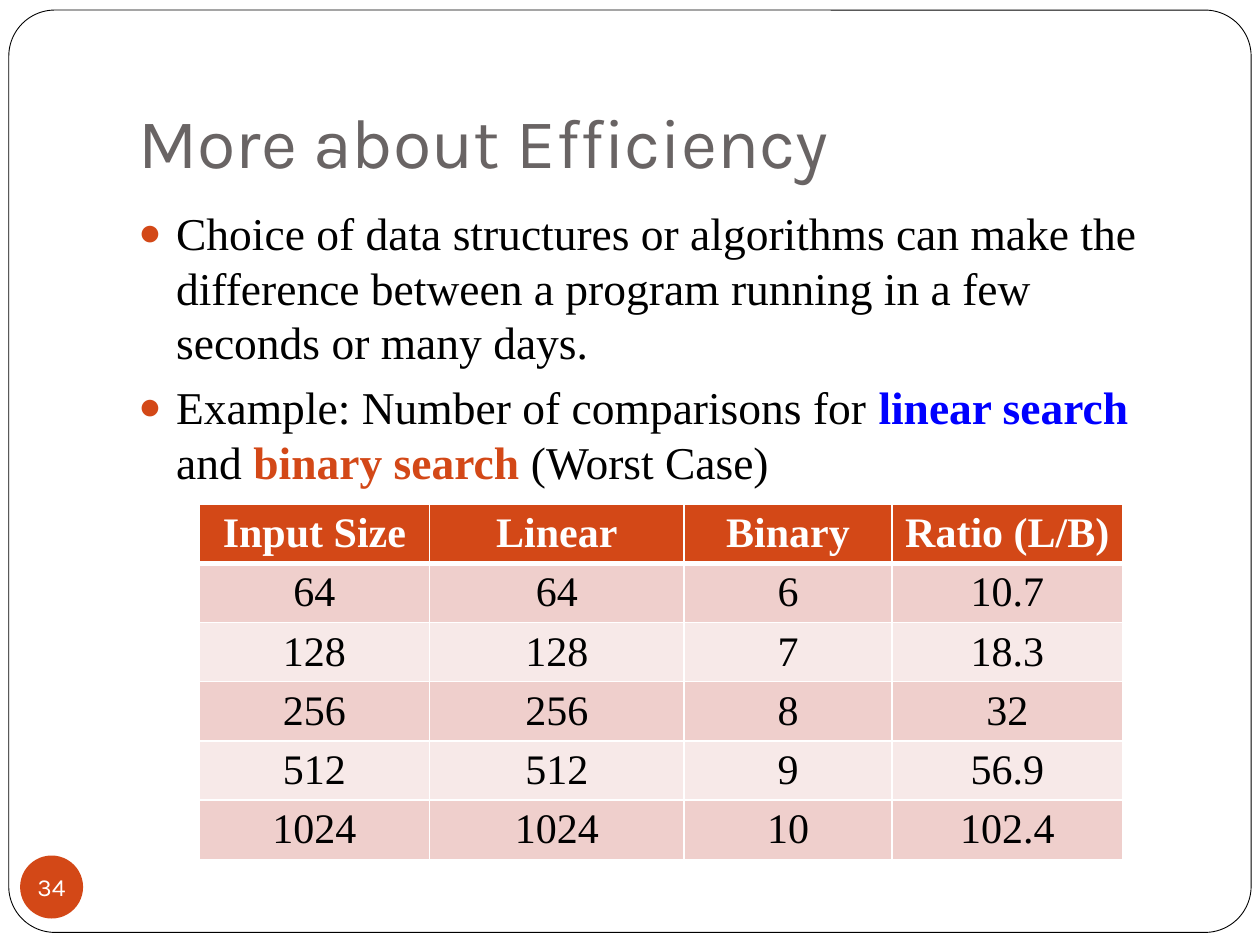
import pptx
import pptx.util
import pptx.dml.color
import pptx.enum.shapes
import pptx.enum.text
import pptx.oxml
import pptx.oxml.ns

Inches, Pt = pptx.util.Inches, pptx.util.Pt
RGBColor = pptx.dml.color.RGBColor
MSO_SHAPE = pptx.enum.shapes.MSO_SHAPE
PP_ALIGN = pptx.enum.text.PP_ALIGN
MSO_ANCHOR = pptx.enum.text.MSO_ANCHOR

WHITE = RGBColor(0xFF, 0xFF, 0xFF)
BLACK = RGBColor(0, 0, 0)
GRAY = RGBColor(0x69, 0x64, 0x64)
ORANGE = RGBColor(0xD3, 0x48, 0x17)
BLUE = RGBColor(0, 0, 0xFF)
BANDS = (RGBColor(0xF7, 0xE9, 0xE8), RGBColor(0xEF, 0xCF, 0xCC))

SERIF, SANS = "Times New Roman", "Karla"
PLAIN = {"name": SERIF, "size": Pt(26), "bold": False, "color": BLACK}
TITLE = {"name": SANS, "size": Pt(40), "color": GRAY}
NUMBER = {"name": SANS, "size": Pt(14), "color": WHITE}
CELL = {**PLAIN, "size": Pt(24)}
HEADER = {**CELL, "bold": True, "color": WHITE}

BULLETS = [
    [("Choice of data structures or algorithms can make the difference between "
      "a program running in a few seconds or many days.", PLAIN)],
    [("Example: Number of comparisons for ", PLAIN),
     ("linear search", {**PLAIN, "bold": True, "color": BLUE}),
     (" and ", PLAIN),
     ("binary search ", {**PLAIN, "bold": True, "color": ORANGE}),
     ("(Worst Case)", PLAIN)],
]
ROWS = [
    ("Input Size", "Linear", "Binary", "Ratio (L/B)"),
    ("64", "64", "6", "10.7"),
    ("128", "128", "7", "18.3"),
    ("256", "256", "8", "32"),
    ("512", "512", "9", "56.9"),
    ("1024", "1024", "10", "102.4"),
]
COL_WIDTHS = (1.83, 2.02, 1.65, 1.83)
ROW_HEIGHT = 0.41


def add_run(p, text, style):
    """Add a run whose font takes the given values."""
    r = p.add_run()
    r.text = text
    for key, value in style.items():
        if key == "color":
            r.font.color.rgb = value
        else:
            setattr(r.font, key, value)


def add_shape(s, kind, box, fill):
    """Add a filled preset shape without line or shadow."""
    sp = s.shapes.add_shape(kind, *map(Inches, box))
    sp.shadow.inherit = False
    sp.fill.solid()
    sp.fill.fore_color.rgb = fill
    sp.line.fill.background()
    return sp


def add_text_box(s, box):
    """Add a wrapping text box and return its text frame."""
    tf = s.shapes.add_textbox(*map(Inches, box)).text_frame
    tf.word_wrap = True
    return tf


def set_bullet(p):
    """Give a paragraph a hanging orange bullet."""
    ppr = p._p.get_or_add_pPr()
    ppr.set("marL", str(Inches(0.3)))
    ppr.set("indent", str(-Inches(0.3)))
    ns = pptx.oxml.ns.nsdecls("a")
    for xml in (f'<a:buClr {ns}><a:srgbClr val="{ORANGE}"/></a:buClr>',
                f'<a:buSzPct {ns} val="85000"/>',
                f'<a:buFont {ns} typeface="{SERIF}"/>',
                f'<a:buChar {ns} char="●"/>'):
        ppr.append(pptx.oxml.parse_xml(xml))


def set_borders(cell, widths):
    """Draw white borders, in points, on the left, right, top and bottom."""
    ns = pptx.oxml.ns.nsdecls("a")
    tcpr = cell._tc.get_or_add_tcPr()
    for i, (side, width) in enumerate(zip("LRTB", widths)):
        tcpr.insert(i, pptx.oxml.parse_xml(
            f'<a:ln{side} {ns} w="{Pt(width)}"><a:solidFill>'
            f'<a:srgbClr val="{WHITE}"/></a:solidFill></a:ln{side}>'))


def add_comparison_table(s):
    """Add the table of comparison counts with banded rows."""
    size = (sum(COL_WIDTHS), ROW_HEIGHT * len(ROWS))
    table = s.shapes.add_table(len(ROWS), len(COL_WIDTHS),
                               *map(Inches, (1.58, 4, *size))).table
    for column, width in zip(table.columns, COL_WIDTHS):
        column.width = Inches(width)
    for i, values in enumerate(ROWS):
        table.rows[i].height = Inches(ROW_HEIGHT)
        for j, text in enumerate(values):
            cell = table.cell(i, j)
            cell.margin_bottom = Inches(0.02)
            cell.fill.solid()
            cell.fill.fore_color.rgb = BANDS[i % 2] if i else ORANGE
            set_borders(cell, (1, 1, 3 if i == 1 else 1, 1 if i else 3))
            p = cell.text_frame.paragraphs[0]
            p.alignment = PP_ALIGN.CENTER
            add_run(p, text, CELL if i else HEADER)


prs = pptx.Presentation()
prs.slide_width, prs.slide_height = Inches(10), Inches(7.5)
s = prs.slides.add_slide(prs.slide_layouts[6])

frame = add_shape(s, MSO_SHAPE.ROUNDED_RECTANGLE, (0.07, 0.08, 9.86, 7.32), WHITE)
frame.adjustments[0] = 0.05
frame.line.color.rgb = BLACK
frame.line.width = Pt(0.5)

tf = add_text_box(s, (1, 0.3, 8.5, 1.25))
tf.vertical_anchor = MSO_ANCHOR.BOTTOM
tf.margin_bottom = Inches(0.1)
add_run(tf.paragraphs[0], "More about Efficiency", TITLE)

badge = add_shape(s, MSO_SHAPE.OVAL, (0.16, 6.79, 0.5, 0.5), ORANGE)
tf = badge.text_frame
for side in ("left", "top", "right", "bottom"):
    setattr(tf, f"margin_{side}", 0)
tf.word_wrap = False
tf.vertical_anchor = MSO_ANCHOR.MIDDLE
tf.paragraphs[0].alignment = PP_ALIGN.CENTER
add_run(tf.paragraphs[0], "34", NUMBER)

tf = add_text_box(s, (1, 1.58, 8.5, 5))
for i, runs in enumerate(BULLETS):
    p = tf.add_paragraph() if i else tf.paragraphs[0]
    p.space_before = Pt(5.8)
    set_bullet(p)
    for text, style in runs:
        add_run(p, text, style)

add_comparison_table(s)
prs.save("out.pptx")
